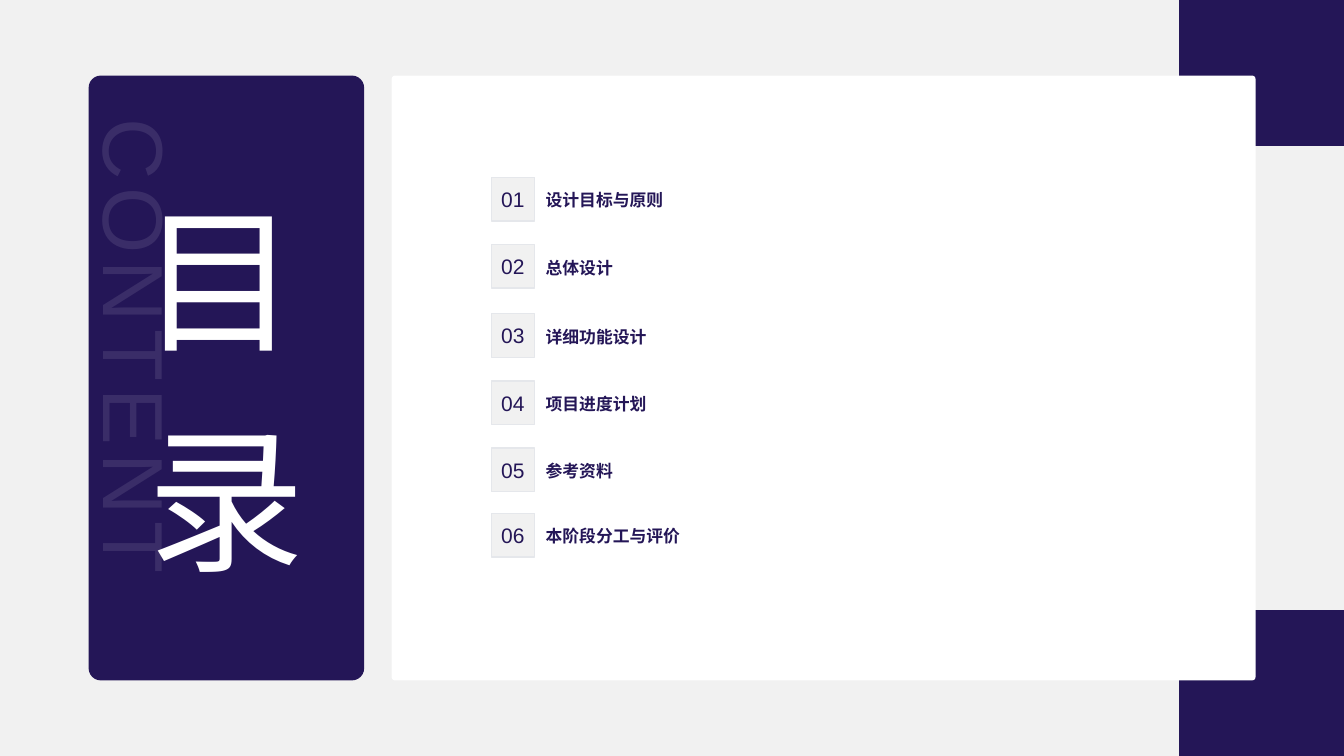
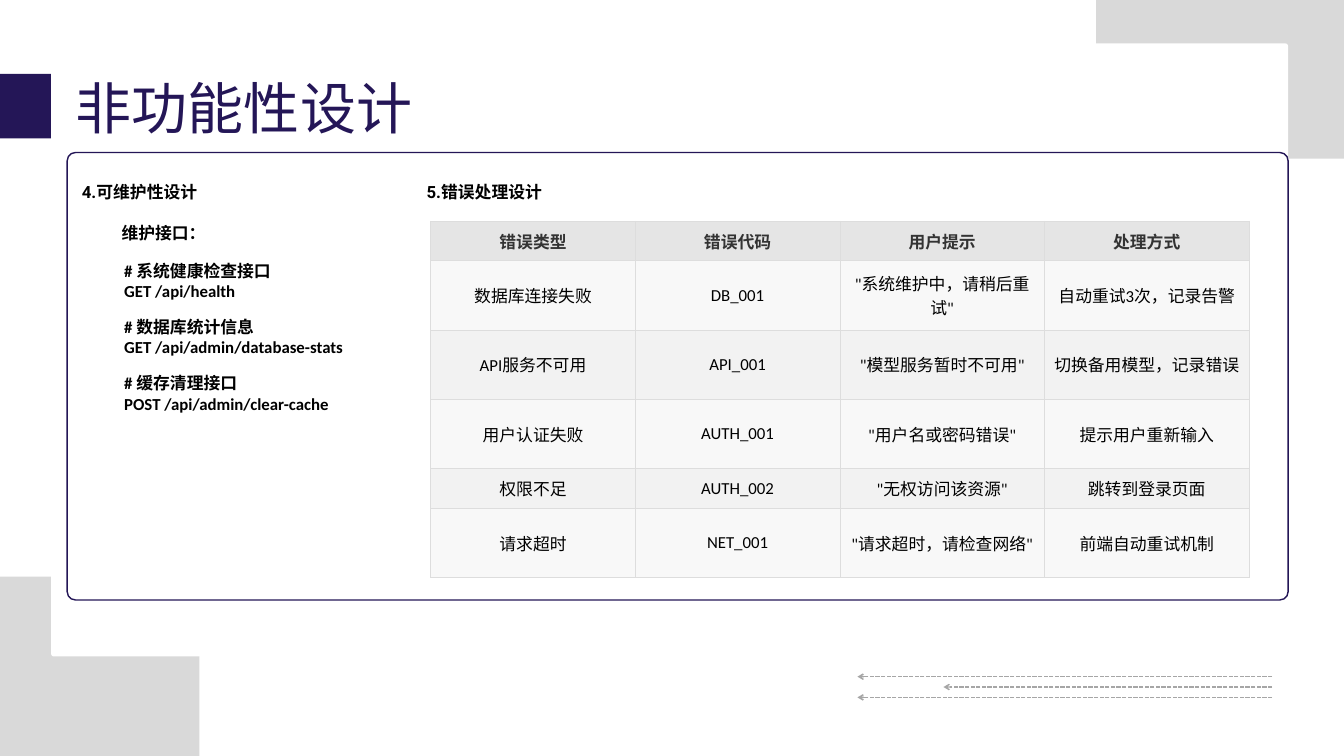
from lxml.etree import SubElement as Sub
from pptx import Presentation
from pptx.dml.color import RGBColor as Rgb
from pptx.enum.dml import MSO_LINE as Dash
from pptx.enum.shapes import MSO_CONNECTOR as Conn, MSO_SHAPE as Kind
from pptx.enum.text import MSO_ANCHOR as Anchor, PP_ALIGN as Align
from pptx.oxml.ns import qn
from pptx.util import Pt

WIDE, HIGH = 1440, 810
NAVY, WHITE, BLACK = "241657", "FFFFFF", "000000"
PALE, GREY, EDGE = "F1F1F1", "D9D9D9", "E5E7EB"
DASH, RULE, HEAD, DARK = "A6A6A6", "DDDDDD", "E5E5E5", "333333"
BANDS = ["F8F8F8", "F2F2F2"]
HAN = "Noto Sans CJK SC"

TOPICS = [
    (190.1, "设计目标与原则"),
    (262.1, "总体设计"),
    (336.2, "详细功能设计"),
    (408.2, "项目进度计划"),
    (480.2, "参考资料"),
    (550.1, "本阶段分工与评价"),
]
CALLS = [
    ("# 系统健康检查接口", "GET /api/health"),
    ("# 数据库统计信息", "GET /api/admin/database-stats"),
    ("# 缓存清理接口", "POST /api/admin/clear-cache"),
]
ERRORS = [
    ("错误类型", "错误代码", "用户提示", "处理方式"),
    ("数据库连接失败", "DB_001", '"系统维护中，请稍后重试"', "自动重试3次，记录告警"),
    ("API服务不可用", "API_001", '"模型服务暂时不可用"', "切换备用模型，记录错误"),
    ("用户认证失败", "AUTH_001", '"用户名或密码错误"', "提示用户重新输入"),
    ("权限不足", "AUTH_002", '"无权访问该资源"', "跳转到登录页面"),
    ("请求超时", "NET_001", '"请求超时，请检查网络"', "前端自动重试机制"),
]
ROWS = [42.5, 74.2, 74.2, 74.2, 42.5, 74.2]
ARROWS = [(918.7, 725), (1010.9, 736.1), (918.7, 747.2)]


def color(code):
    return Rgb.from_string(code)


def style(run, size, face, ink, bold=False, gap=0):
    font = run.font
    font.size, font.name, font.bold = Pt(size), face, bold
    font.color.rgb = color(ink)
    props = font._element
    Sub(props, qn("a:ea"), typeface=HAN)
    if gap:
        props.set("spc", str(round(gap * 100)))


def page(deck, back):
    slide = deck.slides.add_slide(deck.slide_layouts[6])
    slide.background.fill.solid()
    slide.background.fill.fore_color.rgb = color(back)
    return slide


def block(slide, box, fill=None, line=None, width=1.5, radius=0):
    kind = Kind.ROUNDED_RECTANGLE if radius else Kind.RECTANGLE
    shape = slide.shapes.add_shape(kind, *map(Pt, box))
    shape.shadow.inherit = False
    if radius:
        shape.adjustments[0] = radius / min(box[2:])
    if fill:
        shape.fill.solid()
        shape.fill.fore_color.rgb = color(fill)
    else:
        shape.fill.background()
    if line:
        shape.line.color.rgb = color(line)
        shape.line.width = Pt(width)
    else:
        shape.line.fill.background()
    return shape


def label(slide, box, text, size, face, ink, bold=False, gap=0,
          lead=None, align=None, inset=False):
    shape = slide.shapes.add_textbox(*map(Pt, box))
    frame = shape.text_frame
    frame.word_wrap = True
    if not inset:
        frame.margin_left = frame.margin_right = 0
        frame.margin_top = frame.margin_bottom = 0
    frame.text = text
    for para in frame.paragraphs:
        para.alignment = align
        if lead:
            para.line_spacing = Pt(lead)
        for run in para.runs:
            style(run, size, face, ink, bold, gap)
    return shape


def note(slide, box, text, face):
    return label(slide, box, text, 18, face, BLACK, True, inset=True)


def arrow(slide, left, top):
    link = slide.shapes.add_connector(
        Conn.STRAIGHT, Pt(1363), Pt(top), Pt(left), Pt(top))
    link.line.color.rgb = color(DASH)
    link.line.width = Pt(1.5)
    link.line.dash_style = Dash.SQUARE_DOT
    props = link._element.spPr
    Sub(props.find(qn("a:ln")), qn("a:tailEnd"), type="arrow")
    Sub(props, qn("a:effectLst"))


def border(cell):
    props = cell._tc.get_or_add_tcPr()
    for spot, side in enumerate(("lnL", "lnR", "lnT", "lnB")):
        line = props.makeelement(qn("a:" + side), {"w": str(Pt(0.75))})
        Sub(Sub(line, qn("a:solidFill")), qn("a:srgbClr"), val=RULE)
        props.insert(spot, line)


def grid(slide):
    cols = len(ERRORS[0])
    table = slide.shapes.add_table(
        len(ERRORS), cols, Pt(461.5), Pt(236.9), Pt(876.8), Pt(sum(ROWS))).table
    for col in table.columns:
        col.width = Pt(876.8 / cols)
    for r, (texts, high) in enumerate(zip(ERRORS, ROWS)):
        table.rows[r].height = Pt(high)
        for c, text in enumerate(texts):
            cell = table.cell(r, c)
            cell.fill.solid()
            cell.fill.fore_color.rgb = color(BANDS[(r - 1) % 2] if r else HEAD)
            cell.vertical_anchor = Anchor.MIDDLE
            border(cell)
            cell.text_frame.text = text
            para = cell.text_frame.paragraphs[0]
            para.alignment = Align.CENTER
            style(para.runs[0], 18, "Calibri", BLACK if r else DARK, r == 0)


def agenda(deck):
    slide = page(deck, PALE)
    block(slide, (95, 81, 295.2, 648), NAVY, radius=13)
    for top in (0, HIGH - 156.4):
        block(slide, (1263.4, top, WIDE - 1263.4, 156.4), NAVY)
    block(slide, (419.6, 81, 925.6, 648), WHITE, radius=3.6)

    ghost = label(slide, (-162.7, 346.3, 648, 118), "CONTENTS", 91.3, "Arial",
                  WHITE, gap=7.8, lead=127.8, align=Align.CENTER)
    ghost.rotation = 90
    tint = next(ghost._element.iter(qn("a:srgbClr")))
    Sub(tint, qn("a:alpha"), val="10000")
    label(slide, (126.7, 160.6, 231, 463.7), "目录", 168.8, "Arial",
          WHITE, gap=14.3, lead=236.4, align=Align.CENTER)

    for num, (top, topic) in enumerate(TOPICS, 1):
        tile = block(slide, (526.3, top, 46.6, 46.6), PALE, EDGE, 1.47)
        frame = tile.text_frame
        frame.margin_left = frame.margin_right = 0
        frame.margin_top = frame.margin_bottom = 0
        frame.vertical_anchor = Anchor.MIDDLE
        frame.text = f"{num:02}"
        frame.paragraphs[0].alignment = Align.CENTER
        style(frame.paragraphs[0].runs[0], 22.5, "Arial", NAVY)
        label(slide, (584.6, top + 13.7, 254, 21.6), topic, 18, "Arial", NAVY, True)


def design(deck):
    slide = page(deck, WHITE)
    block(slide, (0, 617.8, 213.8, HIGH - 617.8), GREY)
    block(slide, (1174.3, 0, WIDE - 1174.3, 169.9), GREY)
    block(slide, (0, 79.2, 126, 69.1), NAVY)
    block(slide, (54.7, 46.6, 1325.5, 656.8), WHITE, radius=2.9)
    for left, top in ARROWS:
        arrow(slide, left, top)
    block(slide, (72, 163.4, 1308.2, 479.5), line=NAVY, radius=9)

    label(slide, (80.6, 67, 504.7, 80.6), "非功能性设计", 60, HAN, NAVY,
          gap=0.3, lead=84)
    upkeep = note(slide, (80.6, 191.5, 764.6, 28.8), "4.", "Roboto")
    run = upkeep.text_frame.paragraphs[0].add_run()
    run.text = "可维护性设计"
    style(run, 18, "Calibri", BLACK, True)
    note(slide, (123.1, 234.7, 764.6, 51), "维护接口：", "Roboto")
    lines = "\n".join(line for pair in CALLS for line in pair)
    calls = note(slide, (126, 275.8, 262.8, 181.4), lines, "Calibri")
    for para in calls.text_frame.paragraphs[2::2]:
        para.space_before = Pt(17)
    note(slide, (450, 191.5, 764.6, 28.8), "5.错误处理设计", "Roboto")
    grid(slide)


def main():
    deck = Presentation()
    deck.slide_width, deck.slide_height = Pt(WIDE), Pt(HIGH)
    agenda(deck)
    design(deck)
    deck.save("out.pptx")


if __name__ == "__main__":
    main()
